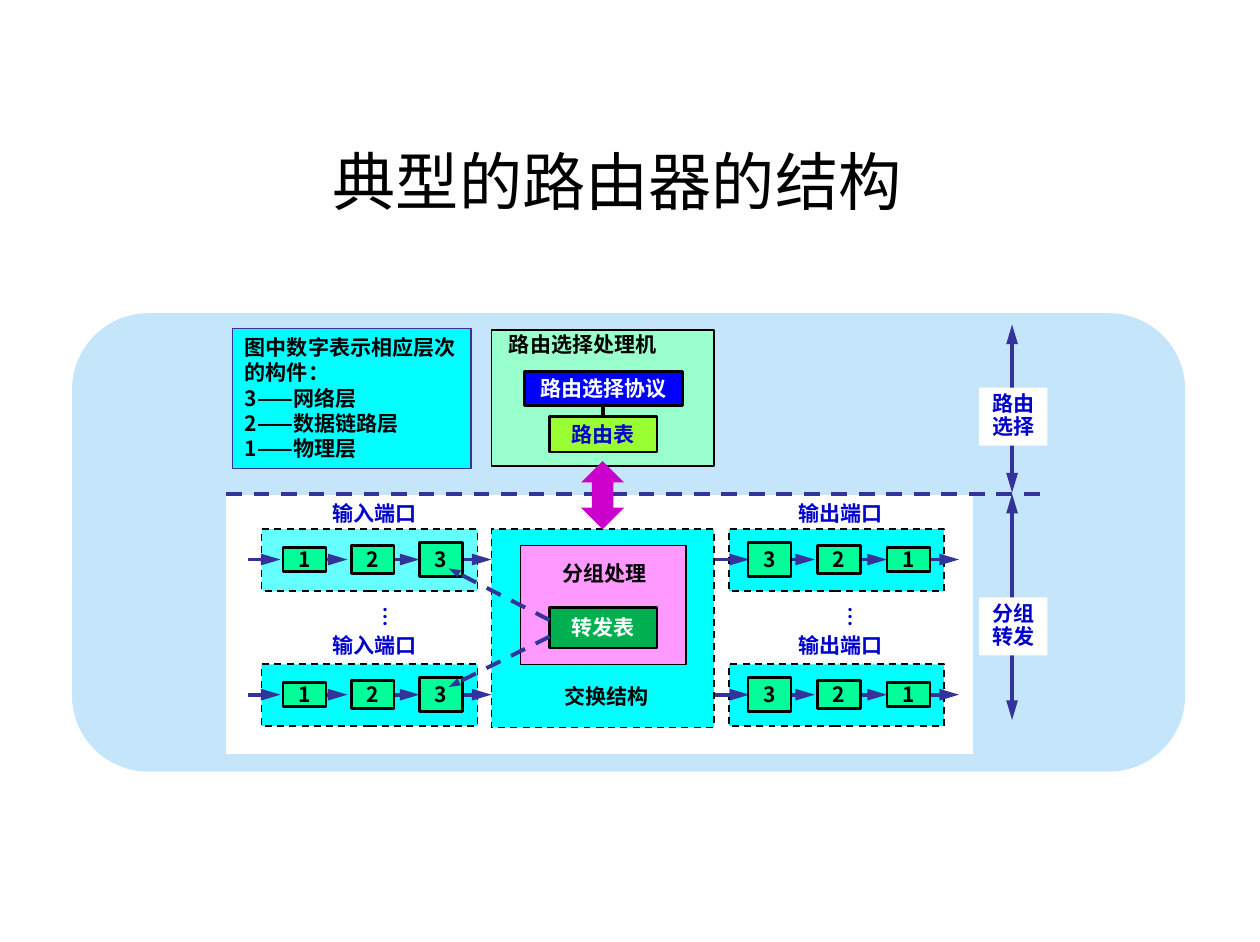
from dataclasses import dataclass

from lxml.etree import SubElement
from pptx import Presentation
from pptx.dml.color import RGBColor
from pptx.enum.dml import MSO_LINE
from pptx.enum.shapes import MSO_CONNECTOR, MSO_SHAPE
from pptx.enum.text import MSO_ANCHOR, PP_ALIGN
from pptx.oxml.ns import qn
from pptx.util import Emu, Pt

EMU_PER_PX = 9144  # 100 px to the inch
SLIDE_SIZE = Pt(718), Pt(537)


@dataclass(frozen=True)
class Theme:
    title_font: str = "Calibri"
    body_font: str = "Noto Sans CJK SC"
    title_size: int = 36
    body_size: int = 12
    legend_leading: float = 14.4
    side_leading: float = 13
    black: str = "000000"
    white: str = "FFFFFF"
    label: str = "0000CC"
    arrow: str = "333399"
    panel: str = "C5E5FB"
    cyan: str = "00FFFF"
    light_cyan: str = "66FFFF"
    mint: str = "99FFCC"
    layer: str = "00FF99"
    protocol: str = "0000FF"
    routing_table: str = "99FF33"
    packet: str = "FF99FF"
    forwarding_table: str = "00B050"
    exchange: str = "CC00CC"


THEME = Theme()


@dataclass(frozen=True)
class PortSide:
    name: str
    left: int
    width: int
    label_left: int
    ellipsis_left: int
    layers: tuple
    first_layer: int
    pitch: int
    arrows: tuple


INPUT = PortSide("输入端口", 207, 171, 253, 287, (1, 2, 3), 224, 54,
                 ((196, 222), (253, 275), (310, 332), (366, 389)))
OUTPUT = PortSide("输出端口", 577, 170, 622, 655, (3, 2, 1), 592, 55,
                  ((566, 593), (622, 645), (679, 702), (735, 759)))
LAYER_HEIGHTS = {1: 19, 2: 22, 3: 27}
PORT_HEIGHT = 49
PORT_TOPS = (419, 526)


def px(value):
    return Emu(round(value * EMU_PER_PX))


def color(value):
    return RGBColor.from_string(value)


def write_text(shape, text, *, ink=THEME.black, size=THEME.body_size, font=THEME.body_font,
               bold=True, align=PP_ALIGN.CENTER, leading=None, wrap=False, margin=0):
    frame = shape.text_frame
    frame.text = text
    frame.word_wrap = wrap
    frame.vertical_anchor = MSO_ANCHOR.MIDDLE
    frame.margin_left = frame.margin_right = px(margin)
    frame.margin_top, frame.margin_bottom = 0, px(1)
    for paragraph in frame.paragraphs:
        paragraph.alignment = align
        if leading:
            paragraph.line_spacing = Pt(leading)
        for run in paragraph.runs:
            run.font.name = font
            run.font.size = Pt(size)
            run.font.bold = bold
            run.font.color.rgb = color(ink)
            east_asian = SubElement(run.font._element, qn("a:ea"))
            east_asian.set("typeface", THEME.body_font)


def add_box(slide, left, top, width, height, fill, *, line=None, weight=1.0,
            dashed=False, kind=MSO_SHAPE.RECTANGLE, text=None, **text_format):
    shape = slide.shapes.add_shape(kind, px(left), px(top), px(width), px(height))
    shape.shadow.inherit = False
    shape.fill.solid()
    shape.fill.fore_color.rgb = color(fill)
    if line:
        shape.line.color.rgb = color(line)
        shape.line.width = Pt(weight)
        if dashed:
            shape.line.dash_style = MSO_LINE.DASH
    else:
        shape.line.fill.background()
    if text:
        write_text(shape, text, **text_format)
    return shape


def add_label(slide, left, top, text, *, width=88, rotation=0, **text_format):
    label = slide.shapes.add_textbox(px(left), px(top), px(width), px(30))
    label.rotation = rotation
    write_text(label, text, align=PP_ALIGN.LEFT, wrap=True, margin=10, **text_format)


def add_line(slide, start, end, *, ink=THEME.arrow, dashed=False, ends=(),
             head_width="med", head_length="lg"):
    line = slide.shapes.add_connector(
        MSO_CONNECTOR.STRAIGHT, px(start[0]), px(start[1]), px(end[0]), px(end[1]))
    line.line.color.rgb = color(ink)
    line.line.width = Pt(2.25)
    if dashed:
        line.line.dash_style = MSO_LINE.DASH
    for end_name in ends:
        arrowhead = SubElement(line.line._get_or_add_ln(), qn(f"a:{end_name}"))
        arrowhead.set("type", "triangle")
        arrowhead.set("w", head_width)
        arrowhead.set("len", head_length)
    SubElement(line._element.spPr, qn("a:effectLst"))


def add_port(slide, side, top, fill):
    middle = top + 24
    add_box(slide, side.left, top, side.width, PORT_HEIGHT, fill,
            line=THEME.black, dashed=True)
    for start, end in side.arrows:
        add_line(slide, (start, middle), (end, middle), ends=("tailEnd",))
    for index, layer in enumerate(side.layers):
        height = LAYER_HEIGHTS[layer]
        add_box(slide, side.first_layer + index * side.pitch, middle - height / 2, 34, height,
                THEME.layer, line=THEME.black, weight=1.5, text=str(layer))


def add_port_labels(slide, side):
    for top in (392, 496):
        add_label(slide, side.label_left, top, side.name, ink=THEME.label)
    add_label(slide, side.ellipsis_left, 473, "…", width=36, rotation=90, ink=THEME.label)


def add_side_scale(slide, top, bottom, label_top, text):
    add_line(slide, (801, top), (801, bottom), ends=("headEnd", "tailEnd"))
    add_box(slide, 775, label_top, 54, 46, THEME.white, text=text,
            ink=THEME.label, leading=THEME.side_leading)


def add_title(slide):
    title = slide.shapes.title
    title.left, title.top, title.width, title.height = px(120), px(101), px(748), px(84)
    write_text(title, "典型的路由器的结构 ", size=THEME.title_size, font=THEME.title_font,
               bold=False, wrap=True, margin=10)


def add_routing_part(slide):
    add_box(slide, 389, 261, 176, 108, THEME.mint, line=THEME.black)
    add_label(slide, 393, 258, "路由选择处理机", width=138)
    add_line(slide, (477, 314), (477, 330), ink=THEME.black)
    add_box(slide, 415, 294, 125, 27, THEME.protocol, line=THEME.black, weight=1.5,
            text="路由选择协议", ink=THEME.white)
    add_box(slide, 435, 330, 85, 28, THEME.routing_table, line=THEME.black, weight=1.5,
            text="路由表", ink=THEME.label)
    add_box(slide, 184, 260, 189, 111, THEME.cyan, line=THEME.arrow,
            text="图中数字表示相应层次的构件：\n3——网络层\n2——数据链路层\n1——物理层",
            align=PP_ALIGN.LEFT, leading=THEME.legend_leading, wrap=True, margin=10)


def add_switching_fabric(slide):
    add_box(slide, 389, 419, 176, 157, THEME.cyan, line=THEME.black, dashed=True)
    add_label(slide, 437, 537, "交换结构")
    add_box(slide, 412, 432, 131, 94, THEME.packet, line=THEME.black, weight=0.75)
    add_label(slide, 435, 439, "分组处理")
    add_box(slide, 435, 481, 85, 32, THEME.forwarding_table, line=THEME.black, weight=1.5,
            text="转发表", ink=THEME.white)


def main():
    presentation = Presentation()
    presentation.slide_width, presentation.slide_height = SLIDE_SIZE
    slide = presentation.slides.add_slide(presentation.slide_layouts[5])
    add_title(slide)

    # Background panels
    add_box(slide, 57, 248, 881, 363, THEME.panel, kind=MSO_SHAPE.ROUNDED_RECTANGLE)
    add_box(slide, 179, 392, 591, 205, THEME.white)

    # Routing above the divider, forwarding below it
    add_routing_part(slide)
    add_line(slide, (179, 391), (827, 391), dashed=True)
    add_side_scale(slide, 257, 390, 307, "路由\n选择")
    add_side_scale(slide, 391, 570, 473, "分组\n转发")

    # Ports around the switching fabric
    add_switching_fabric(slide)
    for side in (INPUT, OUTPUT):
        for top in PORT_TOPS:
            first_input = side is INPUT and top == PORT_TOPS[0]
            add_port(slide, side, top, THEME.light_cyan if first_input else THEME.cyan)
        add_port_labels(slide, side)

    # Forwarding table feeds the network layer of both inputs
    for start, end in ((491, 450), (504, 544)):
        add_line(slide, (435, start), (355, end), dashed=True, ends=("tailEnd",),
                 head_width="sm", head_length="med")

    # Exchange between routing processor and fabric
    exchange = add_box(slide, 460, 365, 34, 54, THEME.exchange, kind=MSO_SHAPE.UP_DOWN_ARROW)
    exchange.adjustments[0] = 0.342
    exchange.adjustments[1] = 0.5

    presentation.save("out.pptx")


if __name__ == "__main__":
    main()
